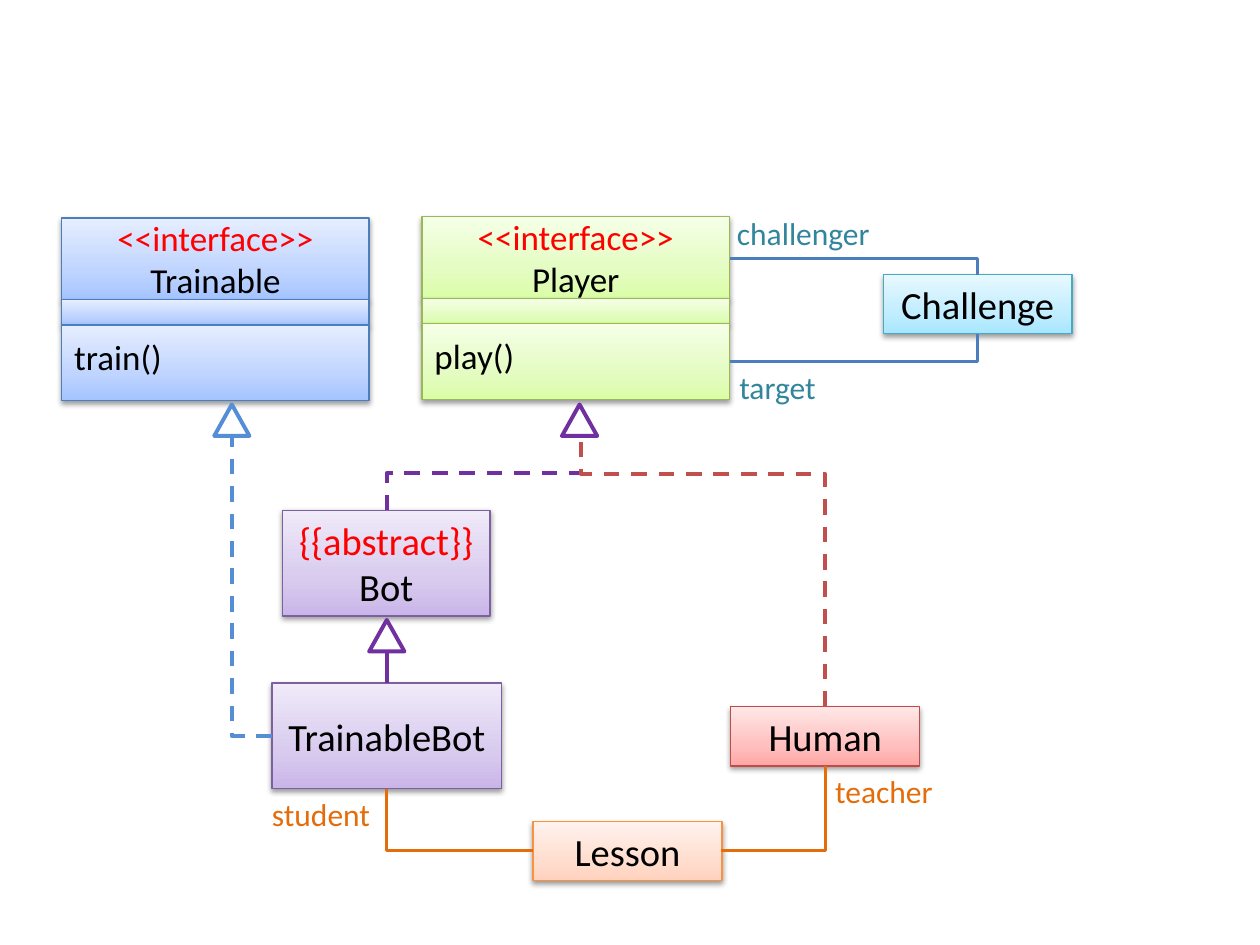
from lxml import etree
from pptx import Presentation, util as u
from pptx.dml.color import RGBColor
from pptx.enum import dml, shapes, text
from pptx.oxml import parse_xml
from pptx.oxml.ns import nsdecls, qn

FONT = "Calibri"
BLACK, WHITE = RGBColor(0, 0, 0), RGBColor(255, 255, 255)
RED = RGBColor(0xFF, 0, 0)
PURPLE = RGBColor(0x70, 0x30, 0xA0)
BRICK = RGBColor(0xC0, 0x50, 0x4D)
SKY = RGBColor(0x55, 0x8E, 0xD5)
BLUE = RGBColor(0x4B, 0x7E, 0xBC)
ORANGE = RGBColor(0xE4, 0x6C, 0x0A)
TEAL = RGBColor(0x31, 0x85, 0x9C)

# Outline, then the gradient colours from bottom to top
STYLES = {
    "violet": (RGBColor(0x7D, 0x60, 0xA0), "C9B5E8", "D8CBEE", "F0EAF9"),
    "red": (RGBColor(0xBF, 0x4C, 0x48), "FFA6A5", "FFC0BF", "FFE7E7"),
    "orange": (RGBColor(0xF6, 0x92, 0x40), "FFD2BD", "FFDED0", "FFF2ED"),
    "green": (RGBColor(0x98, 0xB9, 0x55), "DAFDA7", "E4FCC2", "F5FFE7"),
    "blue": (BLUE, "A4C4FF", "BFD4FF", "E6EEFF"),
    "cyan": (RGBColor(0x46, 0xAA, 0xC5), "A7E6FF", "C1EDFF", "E7F8FF"),
}
STOPS = (0, 35, 100)

# name, style, left, top, width, height, stereotype
CLASSES = [
    ("Bot", "violet", 2.24, 4.05, 1.65, 0.84, "{{abstract}}"),
    ("Human", "red", 5.8, 5.61, 1.5, 0.47, None),
    ("Lesson", "orange", 4.23, 6.52, 1.5, 0.47, None),
    ("TrainableBot", "violet", 2.16, 5.42, 1.82, 0.84, None),
    ("Challenge", "cyan", 7.01, 2.18, 1.5, 0.47, None),
]
# name, method, style, left, top
INTERFACES = [
    ("Player", "play()", "green", 3.35, 1.72),
    ("Trainable", "train()", "blue", 0.49, 1.73),
]
INTERFACE_WIDTH, COMPARTMENTS = 2.44, (0.65, 0.2, 0.6)

# start, end, colour, dashed, share of the rise before the bend
RISING_LINES = [
    ((3.07, 4.05), (4.61, 3.46), PURPLE, True, 0.5),
    ((6.55, 5.61), (4.61, 3.46), BRICK, True, 0.86),
    ((3.07, 5.42), (3.07, 5.17), PURPLE, False, 0.5),
]
# start, end, colour, line width, dashed
CORNER_LINES = [
    ((2.16, 5.84), (1.84, 3.46), SKY, 2.25, True),
    ((4.23, 6.75), (3.07, 6.26), ORANGE, 1.5, False),
    ((5.72, 6.75), (6.55, 6.08), ORANGE, 1.5, False),
    ((5.79, 2.87), (7.76, 2.65), BLUE, 1.5, False),
    ((5.79, 2.05), (7.76, 2.18), BLUE, 1.5, False),
]
# left, top, outline
ARROWHEADS = [(4.46, 3.21, PURPLE), (2.93, 4.92, PURPLE), (1.7, 3.21, SKY)]
# text, left, top, width, colour
ROLES = [
    ("challenger", 5.75, 1.65, 1.29, TEAL),
    ("target", 5.77, 2.87, 0.87, TEAL),
    ("teacher", 6.53, 6.08, 1.02, ORANGE),
    ("student", 2.06, 6.26, 1.02, ORANGE),
]


def inches(*lengths):
    return [u.Inches(length) for length in lengths]


def add_span(para, words, size, colour):
    span = para.add_run()
    span.text = words
    span.font.name, span.font.size = FONT, u.Pt(size)
    span.font.color.rgb = colour


def add_box(page, style, *place):
    """Add a rectangle with a three-stop gradient and a soft shadow below."""
    outline, *colours = STYLES[style]
    box = page.shapes.add_shape(shapes.MSO_SHAPE.RECTANGLE, *inches(*place))
    box.line.color.rgb, box.line.width = outline, u.Pt(0.75)
    box.fill.gradient()
    box.fill.gradient_angle = 90
    stops = box._element.spPr.find(qn("a:gradFill")).find(qn("a:gsLst"))
    for stop in list(stops):
        stops.remove(stop)
    for share, colour in zip(STOPS, colours):
        stop = etree.SubElement(stops, qn("a:gs"), pos=str(share * 1000))
        etree.SubElement(stop, qn("a:srgbClr"), val=colour)
    box.shadow.inherit = False
    box._element.spPr.find(qn("a:effectLst")).append(parse_xml(
        f'<a:outerShdw {nsdecls("a")} blurRad="40000" dist="20000" dir="5400000" '
        'rotWithShape="0"><a:srgbClr val="000000"><a:alpha val="38000"/>'
        '</a:srgbClr></a:outerShdw>'))
    box.text_frame.word_wrap = True
    box.text_frame.vertical_anchor = text.MSO_ANCHOR.MIDDLE
    return box


def add_class(page, name, style, left, top, width, height, stereotype):
    box = add_box(page, style, left, top, width, height)
    para = box.text_frame.paragraphs[0]
    para.alignment = text.PP_ALIGN.CENTER
    if stereotype:
        add_span(para, stereotype, 22, RED)
        para.add_line_break()
    add_span(para, name, 22, BLACK)


def add_interface(page, name, method, style, left, top):
    frames = []
    for height in COMPARTMENTS:
        box = add_box(page, style, left, top, INTERFACE_WIDTH, height)
        frames.append(box.text_frame)
        top += height
    heading, _, methods = frames
    lines = heading.paragraphs[0], heading.add_paragraph()
    for para, words, colour in zip(lines, ("<<interface>>", name), (RED, BLACK)):
        para.alignment = text.PP_ALIGN.CENTER
        add_span(para, words, 20, colour)
    para = methods.paragraphs[0]
    para.alignment = text.PP_ALIGN.LEFT
    para.line_spacing = 0.6
    add_span(para, method, 20, BLACK)


def add_elbow(page, start, end, colour, width, dashed):
    line = page.shapes.add_connector(
        shapes.MSO_CONNECTOR.ELBOW, *inches(*start, *end))
    line.line.color.rgb, line.line.width = colour, u.Pt(width)
    if dashed:
        line.line.dash_style = dml.MSO_LINE.DASH
    etree.SubElement(line._element.spPr, qn("a:effectLst"))
    return line._element.spPr


def add_corner_line(page, *details):
    """Add a line that runs level first and then turns once."""
    add_elbow(page, *details).find(qn("a:prstGeom")).set("prst", "bentConnector2")


def add_rising_line(page, start, end, colour, dashed, bend):
    """Add a line that rises, runs level and rises again: an elbow turned by 270°."""
    (x1, y1), (x2, y2) = start, end
    mid_x, mid_y = (x1 + x2) / 2, (y1 + y2) / 2
    rise, run = (y1 - y2) / 2, (x2 - x1) / 2
    props = add_elbow(page, (mid_x - rise, mid_y - run),
                      (mid_x + rise, mid_y + run), colour, 2.25, dashed)
    props.find(qn("a:xfrm")).set("rot", str(270 * 60000))
    guides = props.find(qn("a:prstGeom")).find(qn("a:avLst"))
    etree.SubElement(guides, qn("a:gd"), name="adj1", fmla=f"val {bend * 100000:.0f}")


def add_arrowhead(page, left, top, colour):
    head = page.shapes.add_shape(
        shapes.MSO_SHAPE.FLOWCHART_EXTRACT, *inches(left, top, 0.28, 0.25))
    head.shadow.inherit = False
    head.fill.solid()
    head.fill.fore_color.rgb = WHITE
    head.line.color.rgb, head.line.width = colour, u.Pt(2.25)


def add_role(page, words, left, top, width, colour):
    box = page.shapes.add_textbox(*inches(left, top, width, 0.4))
    box.text_frame.word_wrap = True
    add_span(box.text_frame.paragraphs[0], words, 18, colour)


def main():
    deck = Presentation()
    deck.slide_width, deck.slide_height = inches(10, 7.5)
    page = deck.slides.add_slide(deck.slide_layouts[6])
    for add, items in (
        (add_class, CLASSES),
        (add_interface, INTERFACES),
        (add_rising_line, RISING_LINES),
        (add_corner_line, CORNER_LINES),
        (add_arrowhead, ARROWHEADS),
        (add_role, ROLES),
    ):
        for item in items:
            add(page, *item)
    deck.save("out.pptx")


if __name__ == "__main__":
    main()
